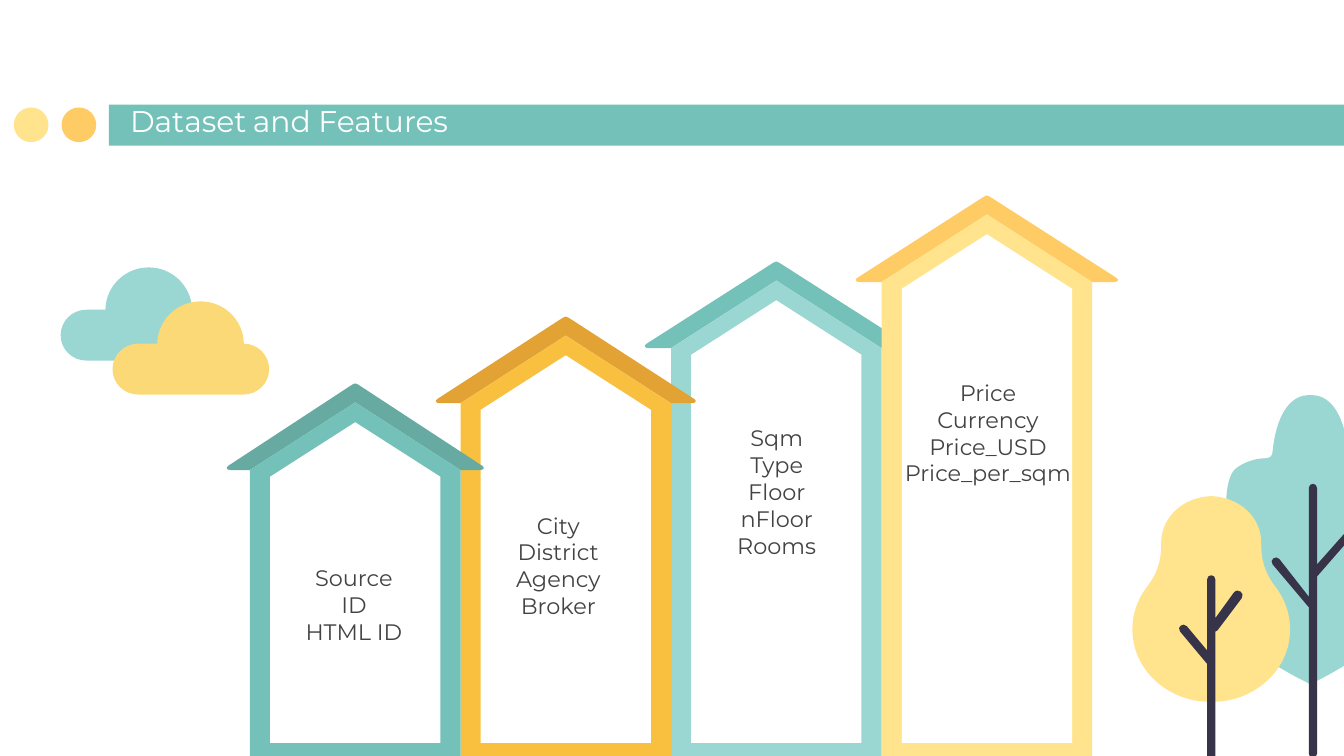
from dataclasses import dataclass

from lxml.etree import SubElement
from pptx import Presentation
from pptx.dml.color import RGBColor
from pptx.enum.shapes import MSO_SHAPE as Preset
from pptx.enum.text import MSO_ANCHOR as Anchor, PP_ALIGN as Align
from pptx.oxml.ns import qn
from pptx.util import Pt


@dataclass(frozen=True)
class Theme:
    white: str = "FFFFFF"
    ink: str = "434343"
    teal: str = "74C1B9"
    dark_teal: str = "66AAA2"
    pale_teal: str = "9AD7D2"
    gold: str = "F9BF3E"
    dark_gold: str = "E2A334"
    orange: str = "FFCB64"
    yellow: str = "FFE48D"
    cloud_yellow: str = "FCD977"
    bark: str = "373449"
    font: str = "Montserrat"
    space_font: str = "Arial"
    title_size: int = 16
    body_size: int = 12


def pairs(segment):
    return list(zip(segment[::2], segment[1::2]))


def mirrored(half, axis):
    result = list(half)
    if half[-1][-2] != axis:
        result.append((2 * axis - half[-1][-2], half[-1][-1]))
    for start, segment in reversed(list(zip(half, half[1:]))):
        points = pairs(segment)[-2::-1] + [start[-2:]]
        result.append(tuple(value for x, y in points for value in (2 * axis - x, y)))
    if result[-1] == half[0]:
        result.pop()
    return result


class SlidePainter:
    """Draws styled elements on the current slide."""

    def __init__(self, slide, theme):
        self.slide = slide
        self.theme = theme

    def paint(self, shape, color):
        shape.shadow.inherit = False
        shape.fill.solid()
        shape.fill.fore_color.rgb = RGBColor.from_string(color)
        shape.line.fill.background()

    def preset(self, kind, left, top, width, height, color):
        shape = self.slide.shapes.add_shape(kind, Pt(left), Pt(top), Pt(width), Pt(height))
        self.paint(shape, color)

    def outline(self, segments, color):
        corners = [(Pt(segment[-2]), Pt(segment[-1])) for segment in segments]
        builder = self.slide.shapes.build_freeform(*corners[0])
        builder.add_line_segments(corners[1:], close=False)
        builder.add_line_segments([], close=True)
        shape = builder.convert_to_shape()
        edges = list(shape.element.iter(qn("a:lnTo")))
        for edge, segment in zip(edges, segments[1:]):
            if len(segment) == 6:
                parent = edge.getparent()
                curve = SubElement(parent, qn("a:cubicBezTo"))
                for x, y in pairs(segment):
                    SubElement(curve, qn("a:pt"), x=str(Pt(x) - shape.left), y=str(Pt(y) - shape.top))
                parent.replace(edge, curve)
        self.paint(shape, color)

    def text(self, left, top, width, height, paragraphs, color, size,
             align=Align.CENTER, anchor=Anchor.TOP, insets=(0, 0.7, 0, 0)):
        frame = self.slide.shapes.add_textbox(Pt(left), Pt(top), Pt(width), Pt(height)).text_frame
        frame.word_wrap = True
        frame.vertical_anchor = anchor
        frame.margin_left, frame.margin_top, frame.margin_right, frame.margin_bottom = map(Pt, insets)
        for index, runs in enumerate(paragraphs):
            paragraph = frame.add_paragraph() if index else frame.paragraphs[0]
            paragraph.alignment = align
            for words in runs:
                run = paragraph.add_run()
                run.text = words
                blank = words == " "
                run.font.name = self.theme.space_font if blank else self.theme.font
                run.font.size = Pt(self.theme.body_size if blank else size)
                run.font.color.rgb = RGBColor.from_string(color)

    def house(self, center, eave, reach, roof_color, wall_color):
        peak, side, tip = eave - 36.2, center - 56.4, center - reach
        roof = [(center, peak), (side, eave), (tip + 2, eave),
                (tip, eave, tip - 0.7, eave - 1.2, tip + 0.7, eave - 2.2),
                (center - 1.5, eave - 45.8),
                (center - 1, eave - 46.2, center - 0.5, eave - 46.4, center, eave - 46.4)]
        self.outline(mirrored(roof, center), roof_color)
        self.outline(mirrored([(center, peak), (side, eave), (side, 405)], center), wall_color)
        self.outline(mirrored([(center, eave - 25.6), (center - 45.6, eave + 3.6),
                               (center - 45.6, 398)], center), self.theme.white)

    def cloud(self, x, y, color):
        outline = [(0, 0), (-12.7, 0, -23, 10.1, -23.2, 22.7), (-33.5, 22.7),
                   (-41, 22.7, -47.2, 28.8, -47.2, 36.3), (-47.2, 43.9, -41, 49.9, -33.5, 49.9),
                   (23, 49.9), (30.6, 49.9, 36.7, 43.9, 36.7, 36.3),
                   (36.7, 28.8, 30.6, 22.7, 23.2, 22.7), (23, 10.1, 12.7, 0, 0, 0)]
        self.outline([tuple(value + (y if index % 2 else x) for index, value in enumerate(segment))
                      for segment in outline], color)

    def trunk(self, x, top, bottom, left_branch, right_branch):
        left, right = x - 2.2, x + 2.2
        upper_left, left_tip, lower_left = left_branch
        lower_right, right_tip, upper_right = right_branch
        self.outline([(left, top + 2.2), (left, upper_left), *left_tip, (left, lower_left),
                      (left, bottom - 2.2),
                      (left, bottom + 0.7, right, bottom + 0.7, right, bottom - 2.2),
                      (right, lower_right), *right_tip, (right, upper_right), (right, top + 2.2),
                      (right, top - 0.7, left, top - 0.7, left, top + 2.2)], self.theme.bark)

    def canopy(self, half, color):
        self.outline(mirrored(half, half[0][0]), color)


def main():
    theme = Theme()
    presentation = Presentation()
    presentation.slide_width, presentation.slide_height = Pt(720), Pt(405)
    painter = SlidePainter(presentation.slides.add_slide(presentation.slide_layouts[6]), theme)

    painter.preset(Preset.RECTANGLE, 58.4, 56, 684, 22, theme.teal)
    for left, color in ((33, theme.orange), (7.4, theme.yellow)):
        painter.preset(Preset.OVAL, left, 57.6, 18.6, 18.6, color)

    first_center, pitch = 190.3, 112.8
    houses = [(2, 186.5, 70.4, theme.teal, theme.pale_teal),
              (3, 151.1, 70.2, theme.orange, theme.yellow),
              (1, 216, 69.6, theme.dark_gold, theme.gold),
              (0, 251.8, 68.8, theme.dark_teal, theme.teal)]
    for position, eave, reach, roof_color, wall_color in houses:
        painter.house(first_center + position * pitch, eave, reach, roof_color, wall_color)

    painter.text(62.6, 56.9, 394.6, 24.5, [["Dataset", " ", "and Features"]], theme.white,
                 theme.title_size, Align.LEFT, Anchor.BOTTOM, (7.2,) * 4)
    features = [(482.5, 202.3, 93.6, ["Price", "Currency", "Price_USD", "Price_per_sqm"]),
                (379.1, 226.6, 74, ["Sqm", "Type", "Floor", "nFloor", "Rooms"]),
                (262.1, 273.4, 74, ["City", "District", "Agency", "Broker"]),
                (152.6, 301.7, 74, ["Source", "ID", "HTML ID"])]
    for left, top, width, names in features:
        painter.text(left, top, width, 85.7, [[name] for name in names], theme.ink, theme.body_size)

    painter.canopy([(702, 211.7), (701.3, 211.7, 699.8, 211.7, 698.4, 212),
                    (686.2, 214.6, 682.6, 232.6, 681.8, 241.9),
                    (681.8, 244.1, 680.4, 245.5, 678.2, 245.5),
                    (672.5, 245.5, 666, 247.7, 661.7, 251.3),
                    (655.9, 257, 656.6, 273.6, 657.4, 282.2),
                    (657.4, 284.4, 655.9, 286.6, 653, 286.6),
                    (645.1, 286.6, 642.2, 295.2, 642.2, 295.2),
                    (627.1, 328.3, 692.6, 362.2, 700.6, 365.8),
                    (701.3, 366.5, 702, 366.5, 702, 366.5)], theme.pale_teal)
    painter.trunk(703.4, 259.2, 406,
                  (319.7, [(685.4, 299.5), (683.5, 297.3, 679.8, 300, 681.8, 302.4)], 325.4),
                  (308.9, [(725, 286.6), (727, 284, 724, 281.3, 722.2, 283.7)], 302.4))
    painter.canopy([(648.9, 265.8), (633.6, 266.4, 622.1, 277.2, 622.1, 290.9), (622.1, 292.3),
                    (622.1, 300.2, 619.9, 307.4, 614.9, 313.9),
                    (609.1, 321.1, 605.5, 331.2, 607, 342),
                    (609.1, 359.3, 624.2, 373.7, 643.7, 375.8),
                    (645.1, 375.8, 647.3, 376, 648.9, 376)], theme.yellow)
    painter.trunk(648.9, 308.2, 412.6,
                  (348.5, [(635.8, 335.5), (633.8, 333.3, 630.2, 336, 632.2, 338.4)], 355.7),
                  (338.4, [(652.3, 337.7), (665.3, 320.4),
                           (667, 317.8, 663.2, 314.8, 661, 317.5)], 331.2))
    painter.cloud(79.7, 143.3, theme.pale_teal)
    painter.cloud(107.5, 161.5, theme.cloud_yellow)
    presentation.save("out.pptx")


if __name__ == "__main__":
    main()
